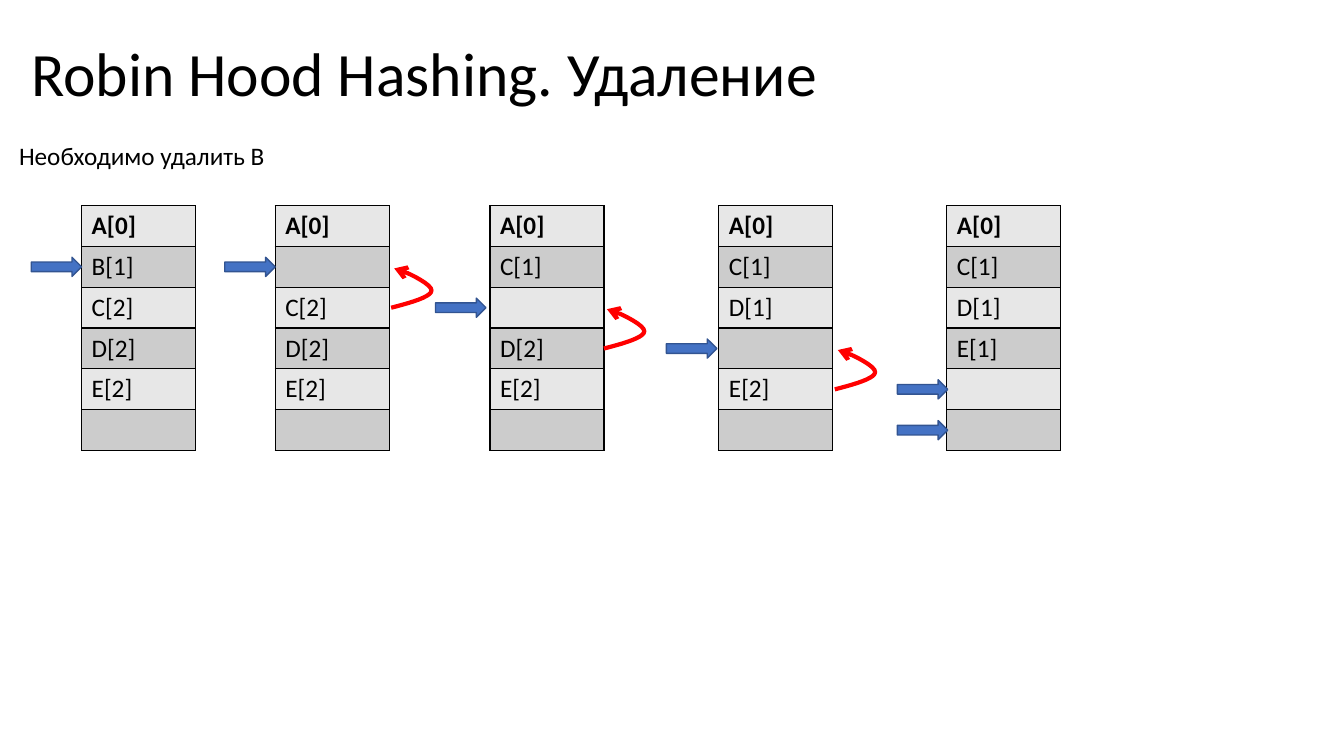
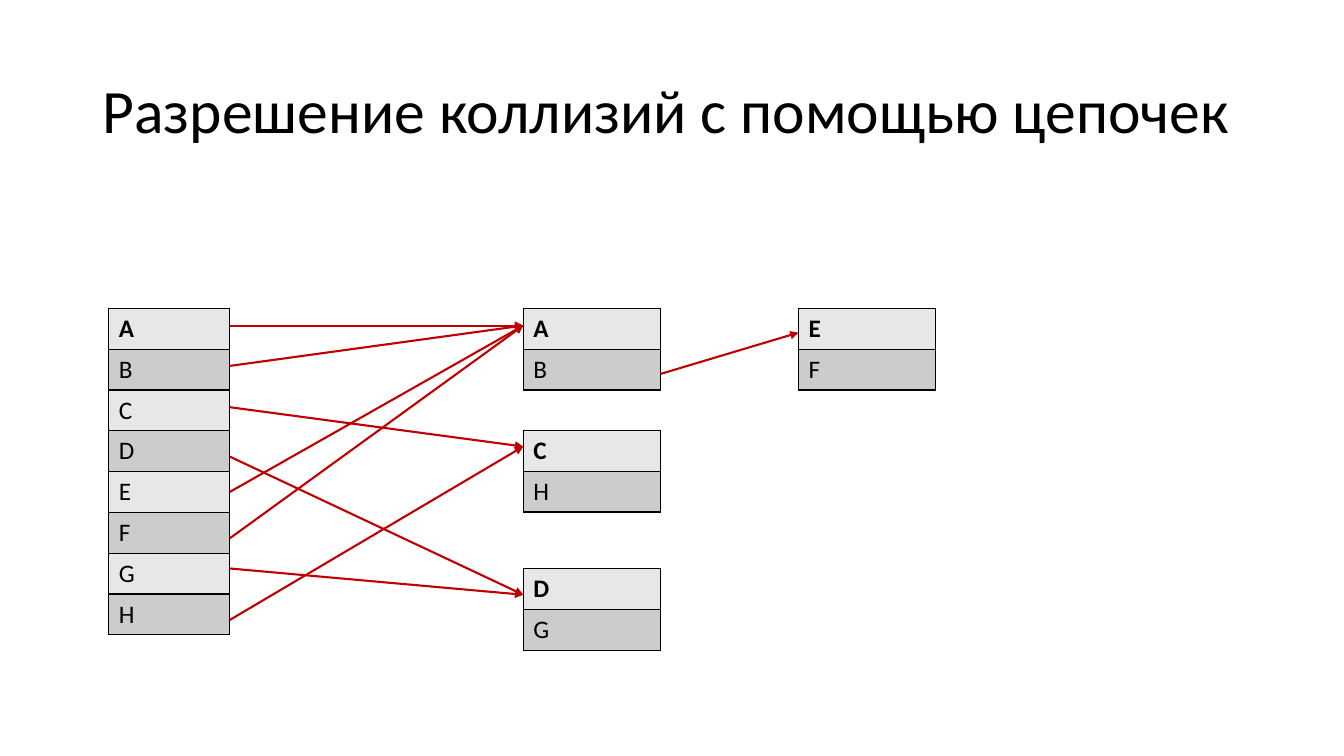
from lxml import etree
from pptx import Presentation
from pptx.dml.color import RGBColor
from pptx.enum.shapes import MSO_CONNECTOR, MSO_SHAPE
from pptx.enum.text import MSO_ANCHOR
from pptx.oxml.ns import qn
from pptx.util import Inches, Pt

STRAIGHT = MSO_CONNECTOR.STRAIGHT
RIGHT_ARROW = MSO_SHAPE.RIGHT_ARROW
MIDDLE = MSO_ANCHOR.MIDDLE

BLACK = RGBColor(0x00, 0x00, 0x00)
ROW_FILLS = (RGBColor(0xE7, 0xE7, 0xE7), RGBColor(0xCC, 0xCC, 0xCC))
BLUE = RGBColor(0x44, 0x72, 0xC4)
DARK_BLUE = RGBColor(0x32, 0x54, 0x91)
RED = RGBColor(0xFF, 0x00, 0x00)
DARK_RED = RGBColor(0xC0, 0x00, 0x00)

FONT = "Calibri"
TITLE_SIZE, BODY_SIZE = 44, 18
ROW = 2.43 / 6

# Deletion steps: table left, cells, pointer left, rows pointed at, left of the shift curve
STEP_TOP, STEP_WIDTH = 2.04, 1.13
STEPS = [
    (0.81, ["A[0]", "B[1]", "C[2]", "D[2]", "E[2]", ""], 0.31, [1], None),
    (2.73, ["A[0]", "", "C[2]", "D[2]", "E[2]", ""], 2.23, [1], 3.88),
    (4.86, ["A[0]", "C[1]", "", "D[2]", "E[2]", ""], 4.32, [2], 5.99),
    (7.13, ["A[0]", "C[1]", "D[1]", "", "E[2]", ""], 6.61, [3], 8.28),
    (9.39, ["A[0]", "C[1]", "D[1]", "E[1]", "", ""], 8.9, [4, 5], None),
]
POINTER_WIDTH, POINTER_HEIGHT = 0.5, 0.19
# Two cubic arcs, measured from the start of the curve
SHIFT_ARCS = [
    [(0, 0), (0.2, -0.05), (0.4, -0.11), (0.4, -0.17)],
    [(0.4, -0.17), (0.41, -0.24), (0.08, -0.39), (0.03, -0.39)],
]
ARC_PARTS = 10

# Chains: left, top, width, cells
KEYS_RIGHT, CHAIN_LEFT, CHAIN_WIDTH, NEXT_LEFT = 2.28, 5.19, 1.36, 7.92
CHAIN_TABLES = [
    (1.08, 3.06, 1.2, "ABCDEFGH"),
    (NEXT_LEFT, 3.06, CHAIN_WIDTH, "EF"),
    (CHAIN_LEFT, 4.27, CHAIN_WIDTH, "CH"),
    (CHAIN_LEFT, 3.06, CHAIN_WIDTH, "AB"),
    (CHAIN_LEFT, 5.64, CHAIN_WIDTH, "DG"),
]
# Height of a chain's entry point: heights of the keys that lead to it
KEY_LINKS = {
    3.23: [3.23, 3.63, 4.88, 5.34],
    4.43: [4.04, 6.15],
    5.9: [4.53, 5.64],
}


def add_run(para, text, size, bold=False):
    span = para.add_run()
    span.text = text
    span.font.name = FONT
    span.font.size = Pt(size)
    span.font.bold = bold
    span.font.color.rgb = BLACK


def add_text(page, left, top, width, height, text, size):
    box = page.shapes.add_textbox(*map(Inches, (left, top, width, height)))
    box.text_frame.word_wrap = True
    add_run(box.text_frame.paragraphs[0], text, size)
    return box.text_frame


def add_page(deck, left, top, title):
    page = deck.slides.add_slide(deck.slide_layouts[6])
    frame = add_text(page, left, top, 11.5, 1.45, title, TITLE_SIZE)
    frame.vertical_anchor = MIDDLE
    frame.paragraphs[0].line_spacing = 0.9
    return page


def add_borders(cell):
    props = cell._tc.get_or_add_tcPr()
    for side in ("a:lnL", "a:lnR", "a:lnT", "a:lnB"):
        edge = etree.SubElement(props, qn(side), w=str(Pt(1)))
        fill = etree.SubElement(edge, qn("a:solidFill"))
        etree.SubElement(fill, qn("a:srgbClr"), val=str(BLACK))


def add_column(page, left, top, width, texts):
    """One-column table with a bold first cell and alternating greys."""
    frame = page.shapes.add_table(len(texts), 1, Inches(left), Inches(top),
                                  Inches(width), Inches(ROW * len(texts)))
    table = frame.table
    table.first_row = table.horz_banding = False
    for index, text in enumerate(texts):
        table.rows[index].height = Inches(ROW)
        cell = table.cell(index, 0)
        add_borders(cell)
        cell.fill.solid()
        cell.fill.fore_color.rgb = ROW_FILLS[index % 2]
        if text:
            add_run(cell.text_frame.paragraphs[0], text, BODY_SIZE, index == 0)


def style_arrow(shape, color, width, head):
    shape.line.color.rgb = color
    shape.line.width = Pt(width)
    etree.SubElement(shape.line._get_or_add_ln(), qn("a:tailEnd"), type=head)


def add_pointer(page, left, middle):
    pointer = page.shapes.add_shape(
        RIGHT_ARROW, Inches(left), Inches(middle - POINTER_HEIGHT / 2),
        Inches(POINTER_WIDTH), Inches(POINTER_HEIGHT))
    pointer.shadow.inherit = False
    pointer.fill.solid()
    pointer.fill.fore_color.rgb = BLUE
    pointer.line.color.rgb = DARK_BLUE
    pointer.line.width = Pt(1)


def arc_point(arc, t):
    weights = ((1 - t) ** 3, 3 * t * (1 - t) ** 2, 3 * t * t * (1 - t), t ** 3)
    return [sum(w * point[axis] for w, point in zip(weights, arc)) for axis in (0, 1)]


def add_shift_curve(page, left, start):
    points = []
    for arc in SHIFT_ARCS:
        for part in range(1, ARC_PARTS + 1):
            dx, dy = arc_point(arc, part / ARC_PARTS)
            points.append((Inches(left + dx), Inches(start + dy)))
    builder = page.shapes.build_freeform(Inches(left), Inches(start))
    builder.add_line_segments(points, close=False)
    curve = builder.convert_to_shape()
    curve.shadow.inherit = False
    curve.fill.background()
    style_arrow(curve, RED, 3, "arrow")


def add_link(page, *ends):
    link = page.shapes.add_connector(STRAIGHT, *map(Inches, ends))
    style_arrow(link, DARK_RED, 1.5, "triangle")
    etree.SubElement(link._element.spPr, qn("a:effectLst"))


def build_deletion(deck):
    page = add_page(deck, 0.21, 0.03, "Robin Hood Hashing. Удаление")
    add_text(page, 0.09, 1.34, 4.05, 0.4, "Необходимо удалить B", BODY_SIZE)
    for left, texts, pointer_left, rows, curve_left in STEPS:
        add_column(page, left, STEP_TOP, STEP_WIDTH, texts)
        for row in rows:
            add_pointer(page, pointer_left, STEP_TOP + ROW * (row + 0.5))
        if curve_left is not None:
            add_shift_curve(page, curve_left, STEP_TOP + ROW * (rows[0] + 1.5))


def build_chains(deck):
    page = add_page(deck, 0.92, 0.4, "Разрешение коллизий с помощью цепочек")
    for table in CHAIN_TABLES:
        add_column(page, *table)
    for entry, keys in KEY_LINKS.items():
        for key in keys:
            add_link(page, KEYS_RIGHT, key, CHAIN_LEFT, entry)
    add_link(page, CHAIN_LEFT + CHAIN_WIDTH, 3.71, NEXT_LEFT, 3.3)


def main():
    deck = Presentation()
    deck.slide_width, deck.slide_height = Inches(13.33), Inches(7.5)
    build_deletion(deck)
    build_chains(deck)
    deck.save("out.pptx")


if __name__ == "__main__":
    main()
